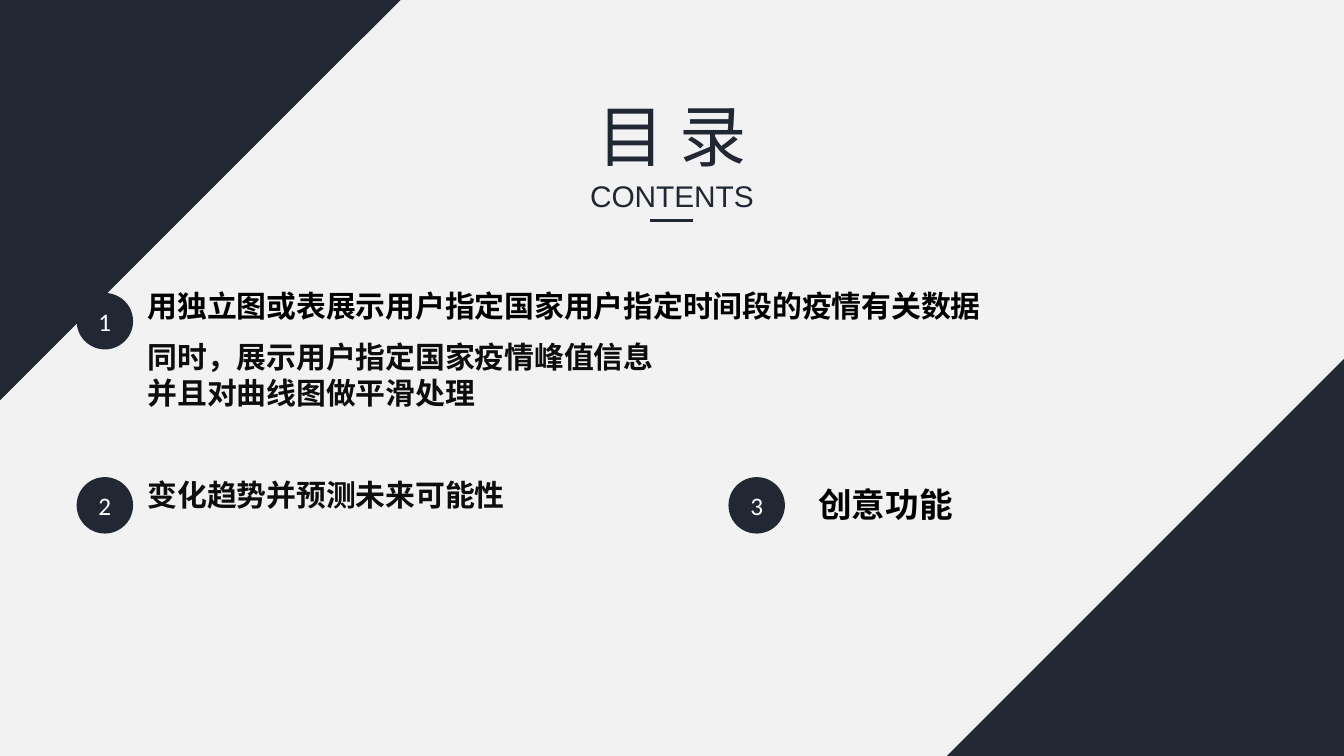
from lxml import etree
from pptx import Presentation
from pptx.dml.color import RGBColor
from pptx.enum.shapes import MSO_CONNECTOR, MSO_SHAPE
from pptx.enum.text import MSO_ANCHOR, MSO_AUTO_SIZE, PP_ALIGN
from pptx.oxml.ns import qn
from pptx.util import Inches, Pt

NAVY = "212834"
CJK = "Noto Sans CJK SC"


def rgb(color):
    return RGBColor.from_string(color)


def write(sp, text, size=16, font=CJK, color="0D0D0D", bold=False,
          align=PP_ALIGN.LEFT, wrap=True):
    """Fill a shape with text, one paragraph per line."""
    tf = sp.text_frame
    tf.word_wrap = wrap
    for i, line in enumerate(text.split("\n")):
        p = tf.paragraphs[0] if i == 0 else tf.add_paragraph()
        p.alignment = align
        r = p.add_run()
        r.text = line
        r.font.size = Pt(size)
        r.font.bold = bold
        r.font.color.rgb = rgb(color)
        r.font.name = font
        ea = etree.SubElement(r.font._element, qn("a:ea"))
        ea.set("typeface", CJK)
    return tf


prs = Presentation()
prs.slide_width = Inches(10)
prs.slide_height = Inches(10) * 9 // 16
s = prs.slides.add_slide(prs.slide_layouts[6])
s.background.fill.solid()
s.background.fill.fore_color.rgb = rgb("F2F2F2")

# Corner triangles and numbered circles
TRIANGLE, OVAL = MSO_SHAPE.RIGHT_TRIANGLE, MSO_SHAPE.OVAL
for kind, x, y, size, angle, number in [
    (TRIANGLE, 7.03, 2.63, 3.01, 270, None),
    (TRIANGLE, -0.03, 0, 3.01, 90, None),
    (OVAL, 0.57, 2.18, 0.42, 0, "1"),
    (OVAL, 0.57, 3.55, 0.42, 0, "2"),
    (OVAL, 5.42, 3.55, 0.42, 0, "3"),
]:
    sp = s.shapes.add_shape(kind, Inches(x), Inches(y), Inches(size), Inches(size))
    sp.rotation = angle
    sp.shadow.inherit = False
    sp.fill.solid()
    sp.fill.fore_color.rgb = rgb(NAVY)
    sp.line.fill.background()
    if number:
        tf = write(sp, number, size=13.5, font="Calibri", color="FFFFFF",
                   align=PP_ALIGN.CENTER)
        tf.vertical_anchor = MSO_ANCHOR.MIDDLE
        tf.margin_left = tf.margin_right = tf.margin_top = tf.margin_bottom = 0

# Title and agenda entries
title = dict(color=NAVY, align=PP_ALIGN.CENTER)
entry = dict(bold=True, wrap=False)
lead = dict(entry, font="Calibri", color="000000")
for x, y, w, h, text, style in [
    (4.01, 0.65, 1.98, 0.71, "目 录", dict(title, size=36)),
    (3.94, 1.27, 2.12, 0.37, "CONTENTS", dict(title, font="Arial")),
    (1, 2.09, 6.48, 0.37, "用独立图或表展示用户指定国家用户指定时间段的疫情有关数据", lead),
    (1, 2.47, 6.33, 0.64, "同时，展示用户指定国家疫情峰值信息\n并且对曲线图做平滑处理",
     dict(entry, wrap=True)),
    (1, 3.5, 2.89, 0.37, "变化趋势并预测未来可能性", entry),
    (5.99, 3.55, 1.21, 0.4, "创意功能", dict(lead, size=18)),
]:
    sp = s.shapes.add_textbox(Inches(x), Inches(y), Inches(w), Inches(h))
    write(sp, text, **style).auto_size = MSO_AUTO_SIZE.SHAPE_TO_FIT_TEXT

# Rule under the title
rule = s.shapes.add_connector(MSO_CONNECTOR.STRAIGHT, Inches(4.84), Inches(1.64),
                              Inches(5.16), Inches(1.64))
rule.line.color.rgb = rgb(NAVY)
rule.line.width = Pt(1.5)
etree.SubElement(rule._element.spPr, qn("a:effectLst"))

prs.save("out.pptx")
